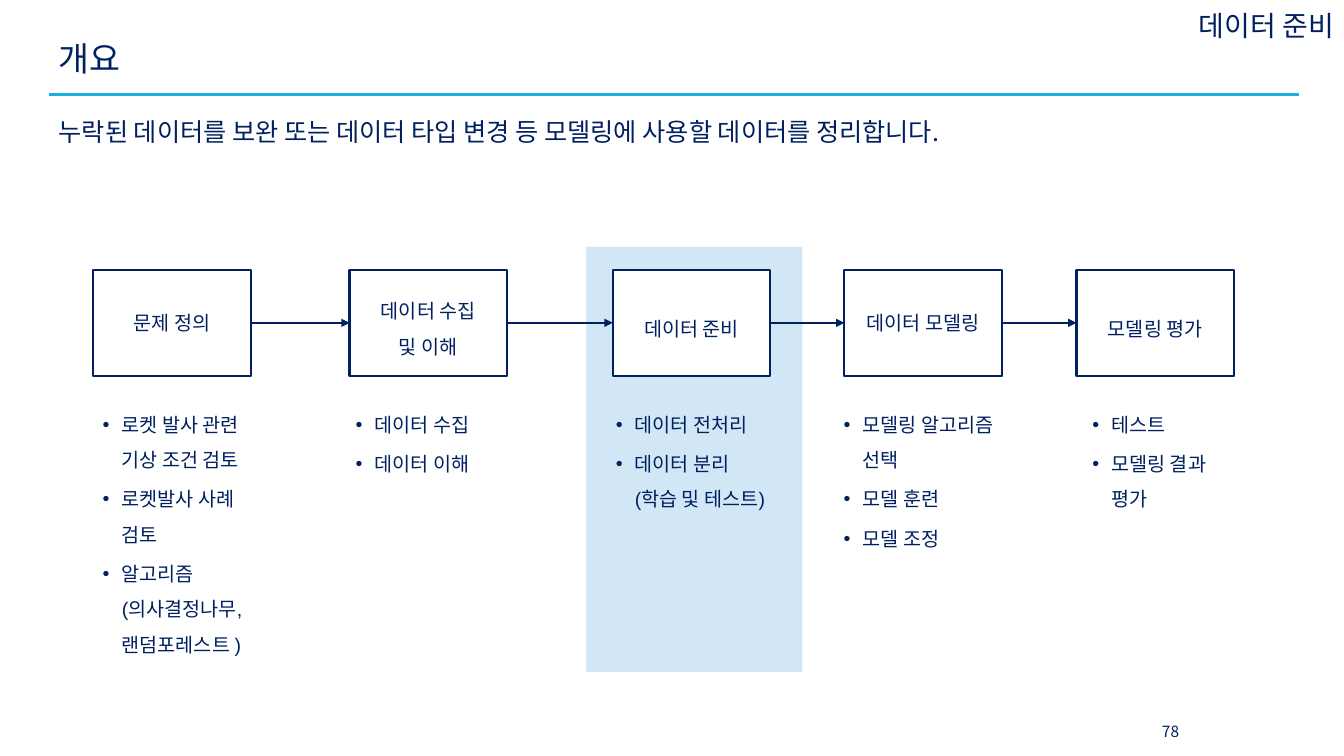
from lxml.etree import SubElement
from pptx import Presentation
from pptx.dml.color import RGBColor
from pptx.enum.shapes import MSO_CONNECTOR, MSO_SHAPE
from pptx.enum.text import MSO_ANCHOR, MSO_AUTO_SIZE, PP_ALIGN
from pptx.oxml.ns import qn
from pptx.util import Cm, Pt

NAVY, SKY, PALE, WHITE = "002060", "1CADE4", "D1E7F6", "FFFFFF"
KOREAN, LATIN = "Noto Sans CJK KR", "Arial"

STEP_TOP, STEP_WIDTH, STEP_HEIGHT = 6.8, 3.97, 2.67
LIST_TOP = 9.8

# Step left, step lines, line spacing, list box (left, width, height), list items
STEPS = [
    (2.35, "문제 정의", 1.0, (2.34, 4.57, 6.81),
     ["로켓 발사 관련 기상 조건 검토", "로켓발사 사례 검토",
      "알고리즘 (의사결정나무,\v랜덤포레스트 )"]),
    (8.81, "데이터 수집\n및 이해", 1.5, (8.71, 4.14, 2.21),
     ["데이터 수집", "데이터 이해"]),
    (15.44, "데이터 준비", 1.5, (15.27, 4.32, 4.01),
     ["데이터 전처리", "데이터 분리 (학습 및 테스트)"]),
    (21.28, "데이터 모델링", 1.0, (21.01, 4.7, 4.11),
     ["모델링 알고리즘 선택", "모델 훈련", "모델 조정"]),
    (27.13, "모델링 평가", 1.5, (27.28, 4.32, 3.12),
     ["테스트", "모델링 결과 평가"]),
]


def color(value):
    return RGBColor.from_string(value)


def style_text(frame, size, font=KOREAN, align=PP_ALIGN.LEFT, spacing=1.0):
    for para in frame.paragraphs:
        para.alignment = align
        para.line_spacing = spacing
        for span in para.runs:
            span.font.size = Pt(size)
            span.font.name = font
            span.font.color.rgb = color(NAVY)


def add_text(page, box, text, size, anchor=MSO_ANCHOR.MIDDLE, wrap=True, **style):
    frame = page.shapes.add_textbox(*map(Cm, box)).text_frame
    frame.word_wrap = wrap
    frame.vertical_anchor = anchor
    frame.text = text
    style_text(frame, size, **style)
    return frame


def add_rectangle(page, box, fill, outline=None):
    shape = page.shapes.add_shape(MSO_SHAPE.RECTANGLE, *map(Cm, box))
    shape.shadow.inherit = False
    shape.fill.solid()
    shape.fill.fore_color.rgb = color(fill)
    if outline:
        shape.line.color.rgb = color(outline)
        shape.line.width = Pt(1.5)
    else:
        shape.line.fill.background()
    return shape


def add_line(page, ends, line_color, width):
    line = page.shapes.add_connector(MSO_CONNECTOR.STRAIGHT, *map(Cm, ends))
    line.line.color.rgb = color(line_color)
    line.line.width = Pt(width)
    SubElement(line._element.spPr, qn("a:effectLst"))
    return line


def add_header(page, box):
    left, top, width, height = box
    add_line(page, (left, top + height, left + width, top + height), SKY, 2.25)
    add_text(page, (left, top, width, 1.6), "개요", 24, spacing=0.9)
    add_text(page, (left, top + 1.86, width, 3.2),
             "누락된 데이터를 보완 또는 데이터 타입 변경 등 모델링에 사용할 데이터를 정리합니다.",
             18, anchor=MSO_ANCHOR.TOP, spacing=1.3)


def add_step(page, box, text, spacing):
    step = add_rectangle(page, box, WHITE, NAVY)
    step.text_frame.vertical_anchor = MSO_ANCHOR.MIDDLE
    step.text_frame.text = text
    style_text(step.text_frame, 14, align=PP_ALIGN.CENTER, spacing=spacing)
    return step


def add_arrow(page, source, target):
    arrow = add_line(page, (0, 0, 0, 0), NAVY, 1)
    arrow.begin_connect(source, 3)
    arrow.end_connect(target, 1)
    SubElement(arrow.line._get_or_add_ln(), qn("a:tailEnd"), type="triangle")


def add_bullet_list(page, box, items):
    frame = add_text(page, box, "\n".join(items), 14, anchor=MSO_ANCHOR.TOP,
                     font=LATIN, spacing=1.5)
    frame.margin_top = Cm(0.3)
    frame.auto_size = MSO_AUTO_SIZE.SHAPE_TO_FIT_TEXT
    for index, para in enumerate(frame.paragraphs):
        if index:
            para.space_before = Pt(3)
        properties = para._p.get_or_add_pPr()
        properties.set("marL", str(Cm(0.48)))
        properties.set("indent", str(Cm(-0.48)))
        SubElement(properties, qn("a:buFont"), typeface=LATIN)
        SubElement(properties, qn("a:buChar"), char="•")


def add_process(page):
    # Highlight behind the current step
    add_rectangle(page, (14.78, 6.22, 5.44, 10.72), PALE)

    # Steps with their lists
    steps = []
    for left, text, spacing, (list_left, width, height), items in STEPS:
        steps.append(add_step(page, (left, STEP_TOP, STEP_WIDTH, STEP_HEIGHT), text, spacing))
        add_bullet_list(page, (list_left, LIST_TOP, width, height), items)

    # Arrows between neighbours
    for source, target in zip(steps, steps[1:]):
        add_arrow(page, source, target)


def main():
    deck = Presentation()
    deck.slide_width, deck.slide_height = Cm(33.87), Cm(19.05)
    page = deck.slides.add_slide(deck.slide_layouts[6])

    add_header(page, (1.23, 0.73, 31.5, 1.66))
    add_process(page)

    # Section name and page number
    add_text(page, (23.52, 0.1, 10.35, 1.1), "데이터 준비", 20, wrap=False, align=PP_ALIGN.RIGHT)
    add_text(page, (28.7, 17.93, 1.6, 1.02), "78", 11, align=PP_ALIGN.CENTER)
    deck.save("out.pptx")


if __name__ == "__main__":
    main()
